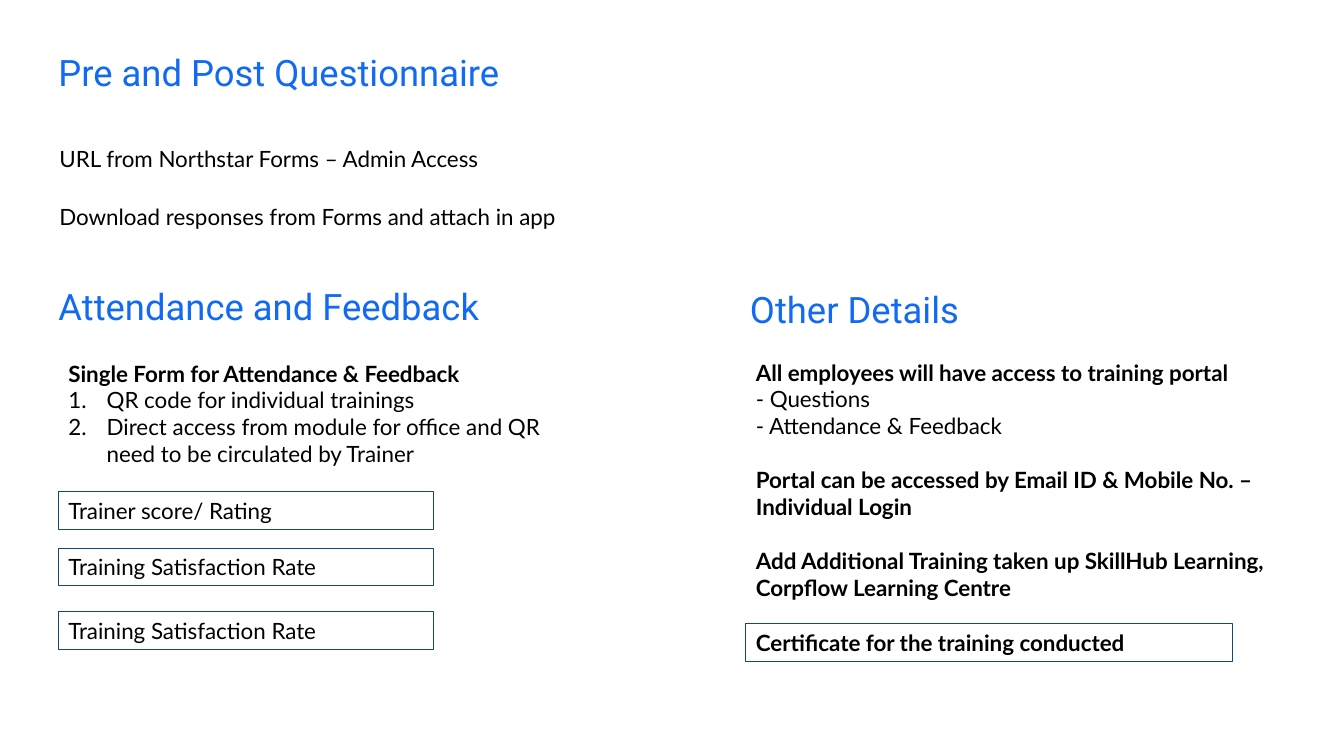
from lxml.etree import SubElement
from pptx import Presentation
from pptx.dml.color import RGBColor
from pptx.enum.shapes import MSO_SHAPE as Shape
from pptx.enum.text import MSO_ANCHOR as Anchor, PP_ALIGN as Align
from pptx.oxml.ns import qn
from pptx.util import Inches, Pt

WIDTH, HEIGHT = Inches(13.33), Inches(7.5)
COLOURS = {"heading": "126AF3", "body": "000000", "outline": "11497B"}
LEFT_EDGE, RIGHT_EDGE = 4.35, 55.5
LINE_ROWS = 4.93
INDENT = Inches(0.38)
BLOCK_GAP = Pt(19.2)


def area(left, top, width, height):
    """Turn percentages of the slide into lengths."""
    return [round(share * side / 100) for share, side in
            zip((left, top, width, height), (WIDTH, HEIGHT) * 2)]


def write(paragraph, words, size=16, font="Lato", colour="body", bold=False):
    """Add one styled run to a paragraph."""
    paragraph.alignment = Align.LEFT
    run = paragraph.add_run()
    run.text = words
    run.font.size, run.font.name, run.font.bold = Pt(size), font, bold
    run.font.color.rgb = RGBColor.from_string(COLOURS[colour])


def number(paragraph):
    """Number a paragraph with a hanging indent."""
    properties = paragraph._p.get_or_add_pPr()
    properties.set("marL", str(INDENT))
    properties.set("indent", str(-INDENT))
    SubElement(properties, qn("a:buFont"), typeface="+mj-lt")
    SubElement(properties, qn("a:buAutoNum"), type="arabicPeriod")


def add_heading(slide, words, left, top, width):
    """Place a section heading without margins."""
    frame = slide.shapes.add_textbox(*area(left, top, width, 10.13)).text_frame
    frame.word_wrap = True
    frame.margin_left = frame.margin_right = 0
    frame.margin_top = frame.margin_bottom = 0
    heading = frame.paragraphs[0]
    heading.line_spacing = 0.9
    write(heading, words, 26, "Roboto", "heading")


def add_text(slide, lines, *place):
    """Place lines given as words, style and whether a gap comes first."""
    frame = slide.shapes.add_textbox(*area(*place)).text_frame
    frame.word_wrap = True
    for index, (words, style, gap) in enumerate(lines):
        paragraph = frame.add_paragraph() if index else frame.paragraphs[0]
        if gap:
            paragraph.space_before = BLOCK_GAP
        if style == "number":
            number(paragraph)
        write(paragraph, words, bold=style == "bold")


def add_field(slide, words, left, top, width, bold=False):
    """Place an outlined one-line field."""
    field = slide.shapes.add_shape(Shape.RECTANGLE, *area(left, top, width, LINE_ROWS))
    field.shadow.inherit = False
    field.fill.background()
    field.line.color.rgb = RGBColor.from_string(COLOURS["outline"])
    field.line.width = Pt(0.75)
    frame = field.text_frame
    frame.word_wrap = True
    frame.vertical_anchor = Anchor.TOP
    write(frame.paragraphs[0], words, bold=bold)


def main():
    """Build the slide on training forms and access."""
    deck = Presentation()
    deck.slide_width, deck.slide_height = WIDTH, HEIGHT
    slide = deck.slides.add_slide(deck.slide_layouts[6])

    for words, left, top, width in (
            ("Pre and Post Questionnaire", LEFT_EDGE, 7.33, 79.65),
            ("Attendance and Feedback", LEFT_EDGE, 38.27, 79.65),
            ("Other Details", 55.8, 38.67, 41.17)):
        add_heading(slide, words, left, top, width)

    for words, top, width in (
            ("URL from Northstar Forms – Admin Access", 18.53, 33.75),
            ("Download responses from Forms and attach in app", 26.27, 40.05)):
        add_text(slide, [(words, "plain", False)], 3.68, top, width, LINE_ROWS)

    add_text(slide, [
        ("Single Form for Attendance & Feedback", "bold", False),
        ("QR code for individual trainings", "number", False),
        ("Direct access from module for office and QR need to be circulated by Trainer",
         "number", False),
    ], LEFT_EDGE, 46.93, 38.18, 15.73)
    add_text(slide, [
        ("All employees will have access to training portal", "bold", False),
        ("- Questions", "plain", False),
        ("- Attendance & Feedback", "plain", False),
        ("Portal can be accessed by Email ID & Mobile No. – Individual Login",
         "bold", True),
        ("Add Additional Training taken up SkillHub Learning, Corpflow Learning Centre",
         "bold", True),
    ], RIGHT_EDGE, 46.8, 42.38, 51.6)

    for words, top in (("Trainer score/ Rating", 65.07),
                       ("Training Satisfaction Rate", 72.53),
                       ("Training Satisfaction Rate", 80.93)):
        add_field(slide, words, LEFT_EDGE, top, 27.9)
    add_field(slide, "Certificate for the training conducted",
              RIGHT_EDGE, 82.53, 36.23, bold=True)

    deck.save("out.pptx")


if __name__ == "__main__":
    main()
